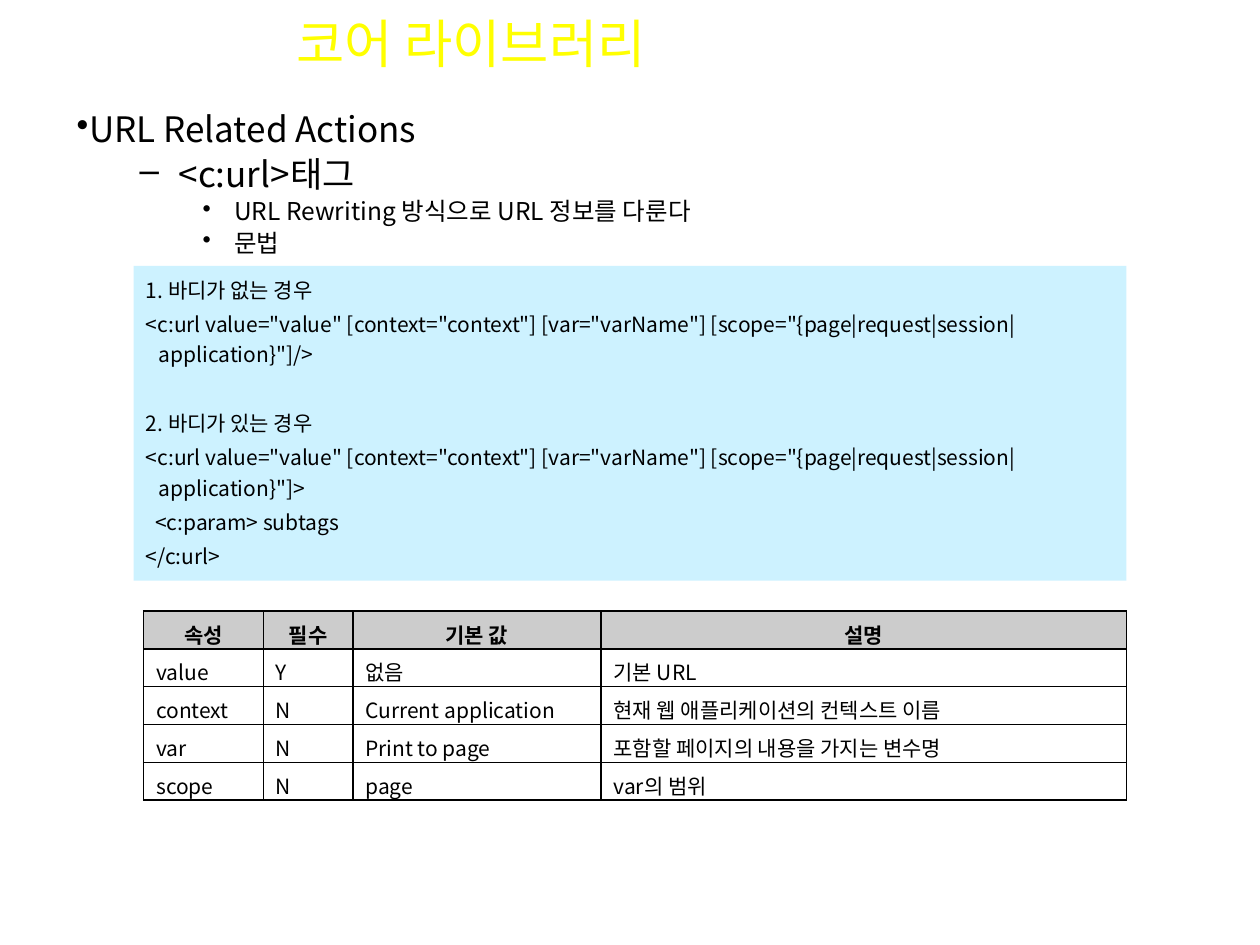
from lxml import etree
from pptx import Presentation
from pptx.dml.color import RGBColor as Rgb
from pptx.enum.shapes import MSO_SHAPE as Form
from pptx.enum.text import MSO_ANCHOR as Anchor, PP_ALIGN as Align
from pptx.oxml.ns import qn
from pptx.util import Inches, Pt

FONT = "Noto Sans CJK KR"
HUES = {"ink": "000000", "title": "FFFF00", "code": "CDF2FF", "head": "CCCCCC"}
WIDE, HIGH = Inches(10), Inches(7.5)

POINTS = [
    ("URL Related Actions", 0, 20),
    ("<c:url>태그", 1, 20),
    ("URL Rewriting 방식으로 URL 정보를 다룬다", 2, 14),
    ("문법", 2, 14),
]
LEVELS = [("•", 0, 0), ("–", 0.81, -0.31), ("•", 1.25, -0.25)]
CALL = ('<c:url value="value" [context="context"] [var="varName"] '
        '[scope="{page|request|session|application}"]')
CODE = [
    ("1. 바디가 없는 경우", 0),
    (CALL + "/>", 2.4),
    ("2. 바디가 있는 경우", 22),
    (CALL + ">", 2.4),
    ("  <c:param> subtags", 2.4),
    ("</c:url>", 2.4),
]
ROWS = [
    ("속성", "필수", "기본 값", "설명"),
    ("value", "Y", "없음", "기본 URL"),
    ("context", "N", "Current application", "현재 웹 애플리케이션의 컨텍스트 이름"),
    ("var", "N", "Print to page", "포함할 페이지의 내용을 가지는 변수명"),
    ("scope", "N", "page", "var의 범위"),
]
COLS = (0.95, 0.71, 1.97, 4.17)


def scale(box):
    x, y, w, h = box
    return int(x * WIDE), int(y * HIGH), int(w * WIDE), int(h * HIGH)


def add(tag, up, **kw):
    return etree.SubElement(up, qn(tag), **kw)


def paint(fill, hue):
    fill.solid()
    fill.fore_color.rgb = Rgb.from_string(HUES[hue])


def write(par, text, size, hue="ink", bold=False):
    run = par.add_run()
    run.text = text
    font = run.font
    font.size, font.bold, font.name = Pt(size), bold, FONT
    font.color.rgb = Rgb.from_string(HUES[hue])
    add("a:ea", font._element, typeface=FONT)
    return run


def indent(par, left, hang, mark=None):
    props = par._p.get_or_add_pPr()
    props.set("marL", str(Inches(left)))
    props.set("indent", str(Inches(hang)))
    if mark:
        add("a:buChar", props, char=mark)


def lines(frame):
    yield frame.paragraphs[0]
    while True:
        yield frame.add_paragraph()


def add_title(slide, box):
    frame = slide.shapes.add_textbox(*scale(box)).text_frame
    frame.word_wrap = True
    frame.vertical_anchor = Anchor.MIDDLE
    frame.margin_left = Inches(0.19)
    run = write(frame.paragraphs[0], "코어 라이브러리", 30, "title")
    glow = etree.Element(qn("a:effectLst"))
    cast = add("a:outerShdw", glow, dist="38100", dir="2700000", algn="tl")
    add("a:srgbClr", cast, val=HUES["ink"])
    run.font._element.find(qn("a:solidFill")).addnext(glow)


def add_points(slide, box):
    frame = slide.shapes.add_textbox(*scale(box)).text_frame
    frame.word_wrap = True
    for (text, level, size), par in zip(POINTS, lines(frame)):
        mark, left, hang = LEVELS[level]
        par.level = level
        par.line_spacing = 0.9
        par.space_before = Pt(0.2 * size if level else 0)
        indent(par, left, hang, mark)
        write(par, text, size)


def add_code(slide, box):
    panel = slide.shapes.add_shape(Form.RECTANGLE, *scale(box))
    panel.shadow.inherit = False
    paint(panel.fill, "code")
    panel.line.fill.background()
    frame = panel.text_frame
    frame.word_wrap = True
    frame.vertical_anchor = Anchor.TOP
    for (text, gap), par in zip(CODE, lines(frame)):
        par.alignment = Align.LEFT
        par.line_spacing = 1.2
        par.space_before = Pt(gap)
        indent(par, 0.1, -0.1)
        write(par, text, 12)


def frame_cell(cell):
    props = cell._tc.get_or_add_tcPr()
    for side in "LRTB":
        edge = add("a:ln" + side, props, w=str(Pt(1)))
        add("a:srgbClr", add("a:solidFill", edge), val=HUES["ink"])


def add_grid(slide, box):
    x, y, w, h = scale(box)
    grid = slide.shapes.add_table(len(ROWS), len(COLS), x, y, w, h).table
    grid.first_row = grid.horz_banding = False
    for col, part in zip(grid.columns, COLS):
        col.width = int(w * part / sum(COLS))
    for i, row in enumerate(ROWS):
        for j, text in enumerate(row):
            cell = grid.cell(i, j)
            frame_cell(cell)
            cell.vertical_anchor = Anchor.MIDDLE
            cell.margin_top, cell.margin_bottom = Inches(0.06), 0
            par = cell.text_frame.paragraphs[0]
            if i:
                cell.fill.background()
                par.alignment = Align.JUSTIFY
            else:
                paint(cell.fill, "head")
                par.alignment = Align.CENTER
            write(par, text, 12, bold=not i)


def main():
    deck = Presentation()
    deck.slide_width, deck.slide_height = WIDE, HIGH
    slide = deck.slides.add_slide(deck.slide_layouts[6])
    left, width = 0.106, 0.788
    inset = 0.008
    add_points(slide, (0.051, 0.112, 0.9, 0.66))
    add_code(slide, (left, 0.2813, width, 0.3333))
    add_grid(slide, (left + inset, 0.6467, width - inset, 0.2))
    add_title(slide, (0.216, 0, 0.649, 0.09))
    deck.save("out.pptx")


if __name__ == "__main__":
    main()
